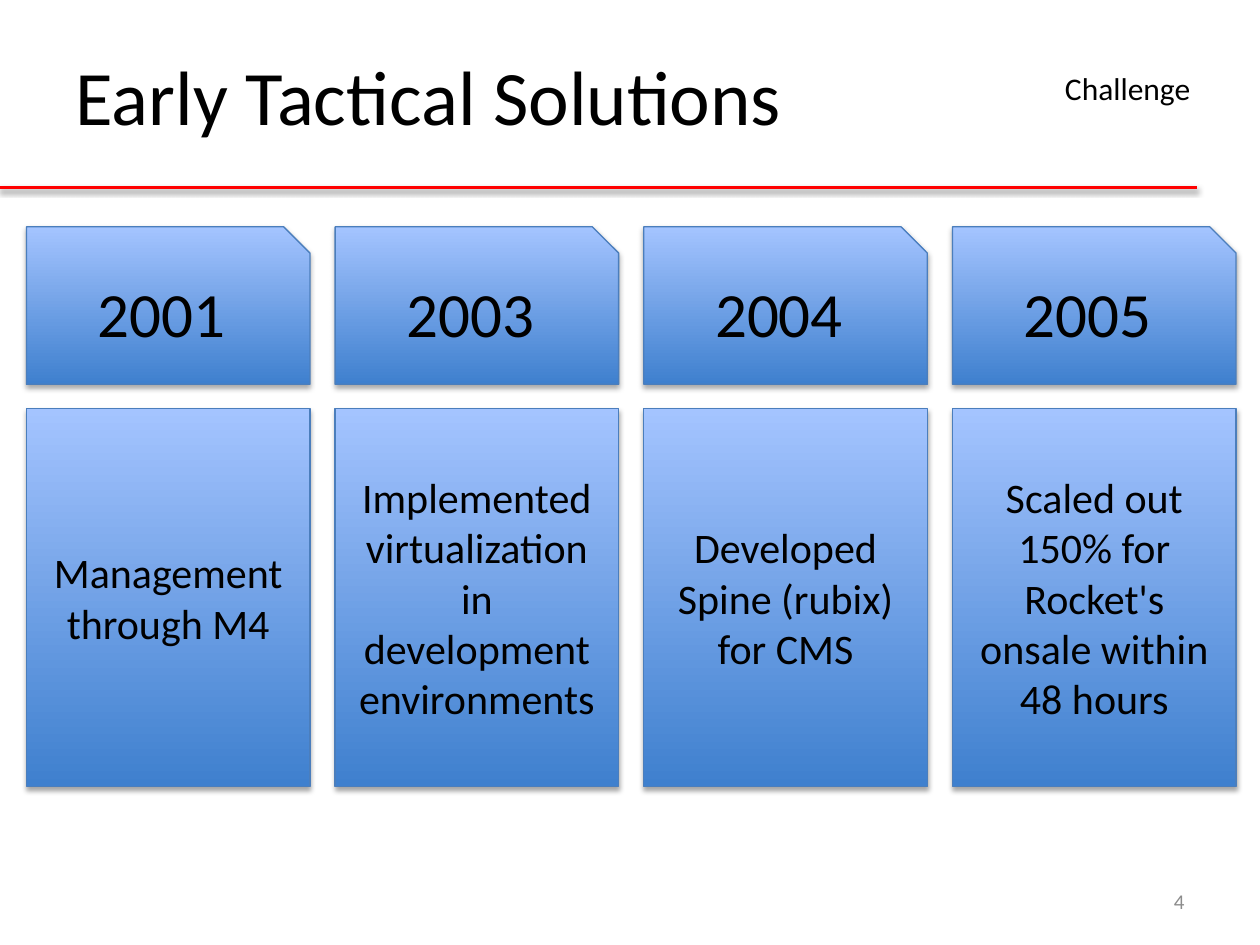
from lxml import etree
from pptx import Presentation
from pptx import util as u
from pptx.dml.color import RGBColor
from pptx.enum import shapes, text
from pptx.oxml.ns import qn

TITLE = "Early Tactical Solutions"
TAG = "Challenge"
PAGE = "4"
STEPS = [
    ("2001", "Management through M4"),
    ("2003", "Implemented virtualization in development environments"),
    ("2004", "Developed Spine (rubix) for CMS"),
    ("2005", "Scaled out 150% for Rocket's onsale within 48 hours"),
]

# Grid of cards, in inches
LEFT, PITCH, WIDE = 0.21, 2.45, 2.25
SNIP, RECT = shapes.MSO_SHAPE.SNIP_1_RECTANGLE, shapes.MSO_SHAPE.RECTANGLE
ROWS = [(SNIP, 1.8, 1.25, 36), (RECT, 3.24, 3, 24)]  # form, top, height, size

ALIGN = text.PP_ALIGN
MIDDLE, TOP = text.MSO_ANCHOR.MIDDLE, text.MSO_ANCHOR.TOP


def color(code):
    return RGBColor.from_string(code)


def box(*nums):
    return [u.Inches(n) for n in nums]


def write(shape, words, size, align, anchor=MIDDLE, code="000000", wrap=True):
    frame = shape.text_frame
    frame.text = words
    frame.word_wrap = wrap
    frame.vertical_anchor = anchor
    para = frame.paragraphs[0]
    para.alignment = align
    font = para.runs[0].font
    font.name, font.size = "Calibri", u.Pt(size)
    font.color.rgb = color(code)


def shade(shape, alpha, dist):
    """Give a shape or connector a soft shadow below it."""
    props = shape._element.spPr
    for old in props.findall(qn("a:effectLst")):
        props.remove(old)
    glow = etree.SubElement(props, qn("a:effectLst"))
    drop = etree.SubElement(glow, qn("a:outerShdw"), blurRad=str(u.Pt(3.1)),
                            dist=str(u.Pt(dist)), dir="5400000", rotWithShape="0")
    tint = etree.SubElement(drop, qn("a:srgbClr"), val="000000")
    etree.SubElement(tint, qn("a:alpha"), val=str(alpha * 1000))


def card(slide, form, place, words, size):
    shape = slide.shapes.add_shape(form, *box(*place))
    shape.fill.gradient()
    shape.fill.gradient_angle = 90
    for stop, code in zip(shape.fill.gradient_stops, ("3F80CE", "A4C4FF")):
        stop.color.rgb = color(code)
    shape.line.color.rgb = color("4B7EBC")
    shape.line.width = u.Pt(0.75)
    shade(shape, 35, 1.8)
    write(shape, words, size, ALIGN.CENTER)


def main():
    deck = Presentation()
    deck.slide_width, deck.slide_height = box(10, 7.5)
    slide = deck.slides.add_slide(deck.slide_layouts[5])

    # Red rule under the heading
    rule = slide.shapes.add_connector(shapes.MSO_CONNECTOR.STRAIGHT,
                                      *box(0, 1.49, 9.5, 1.49))
    rule.line.color.rgb = color("FF0000")
    rule.line.width = u.Pt(2)
    shade(rule, 38, 1.6)

    # Title, page number and section tag
    head = slide.shapes.title
    head.left, head.top, head.width, head.height = box(0.5, 0.13, 9, 1.25)
    write(head, TITLE, 44, ALIGN.LEFT)
    page = slide.shapes.add_textbox(*box(7.17, 6.95, 2.33, 0.4))
    write(page, PAGE, 12, ALIGN.RIGHT, code="8C8C8C")
    tag = slide.shapes.add_textbox(*box(8.35, 0.5, 1.2, 0.4))
    tag.fill.solid()
    tag.fill.fore_color.rgb = color("FFFFFF")
    write(tag, TAG, 18, ALIGN.CENTER, TOP, wrap=False)

    # One column per year
    for col, step in enumerate(STEPS):
        for words, (form, top, high, size) in zip(step, ROWS):
            card(slide, form, (LEFT + col * PITCH, top, WIDE, high), words, size)

    deck.save("out.pptx")


if __name__ == "__main__":
    main()
